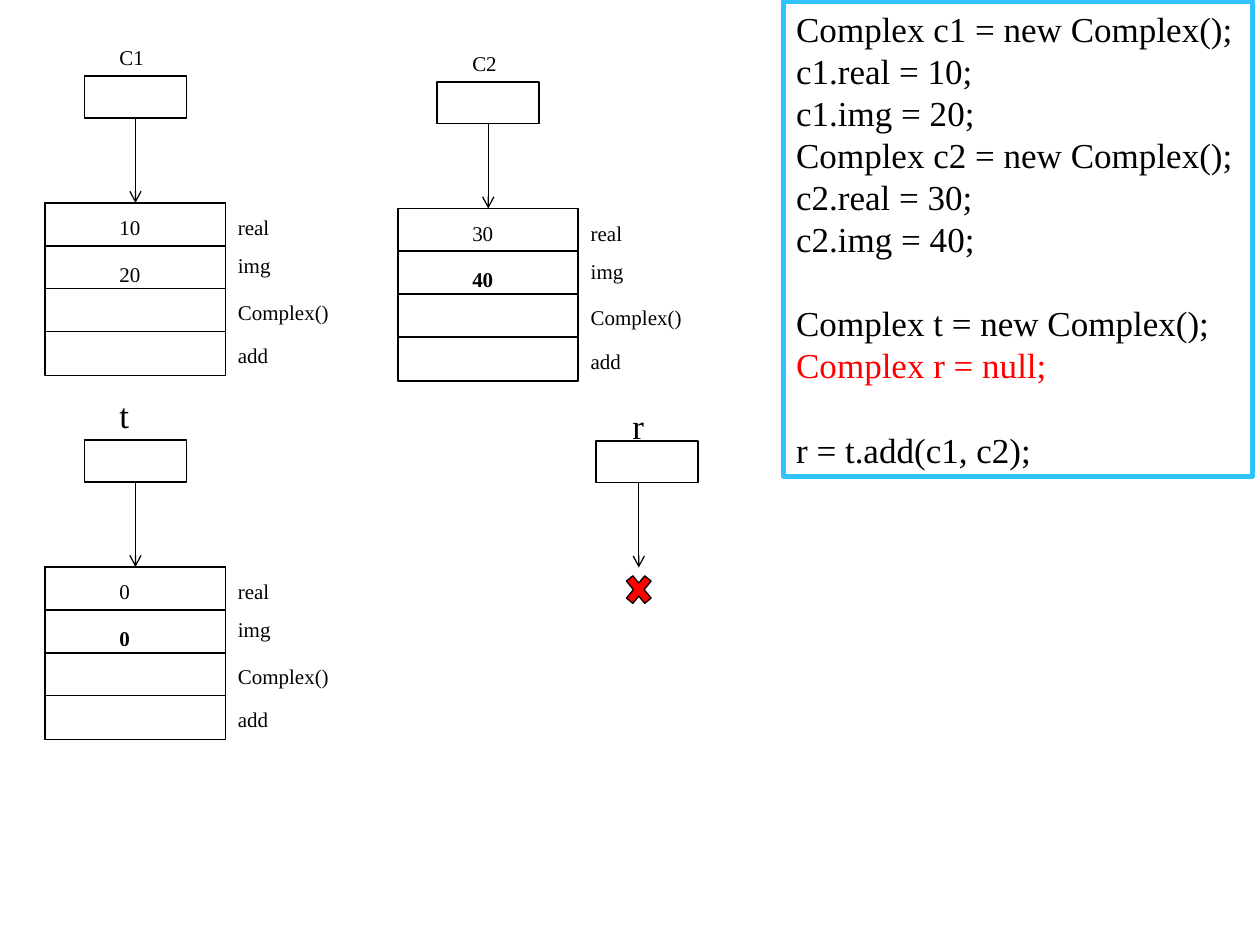
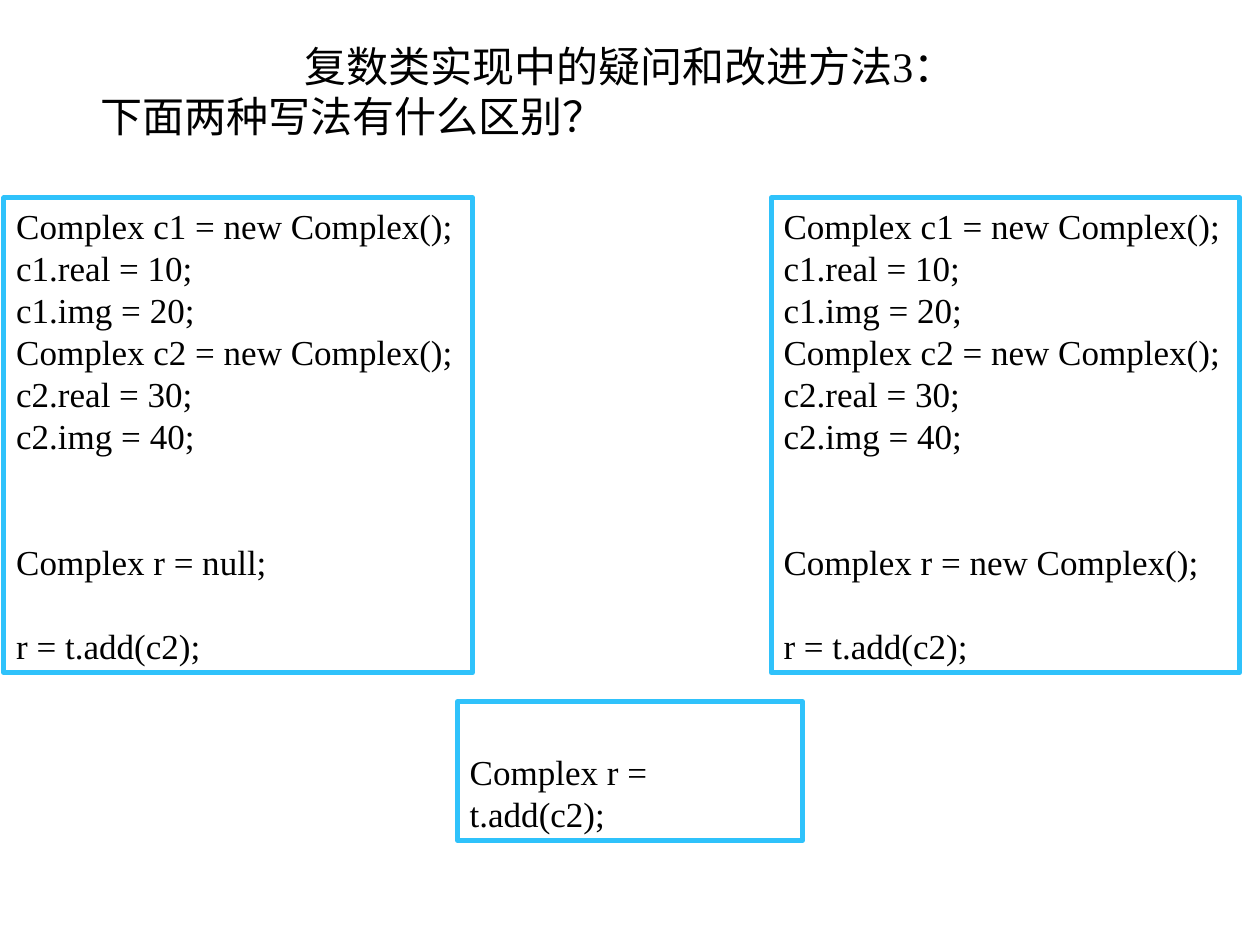
from dataclasses import dataclass

from lxml import etree
from pptx import Presentation
from pptx.dml.color import RGBColor
from pptx.enum.shapes import MSO_CONNECTOR, MSO_SHAPE
from pptx.enum.text import MSO_ANCHOR, PP_ALIGN
from pptx.oxml.ns import qn
from pptx.util import Inches, Pt

RECT, CROSS = MSO_SHAPE.RECTANGLE, MSO_SHAPE.MATH_MULTIPLY
STRAIGHT = MSO_CONNECTOR.STRAIGHT
TOP, BOTTOM = MSO_ANCHOR.TOP, MSO_ANCHOR.BOTTOM
LEFT, CENTER = PP_ALIGN.LEFT, PP_ALIGN.CENTER
TOP_SIDE, BOTTOM_SIDE = 0, 2

FONT = "Times New Roman"
BLACK, WHITE, RED, SKY = "000000", "FFFFFF", "FF0000", "2FC2FB"
SMALL, CODE, TITLE = 12, 20, 24
CODE_PITCH = 24  # points from one code line to the next

# The slide is a grid of 100 columns and 75 rows of equal square cells.
COLS, ROWS = 100, 75
UNIT = Inches(0.1)

# Sizes in grid cells
REF_W, REF_H = 8.1, 3.3
OBJECT_W, OBJECT_H = 14.3, 13.6
FIELD_H, FIELD_STEP = 3.5, 3.4
ARROW = 6.75
LABEL_W, LABEL_H, NAME_H = 11, 3, 4.3
VALUE_X = 4.9
CODE_W, CODE_H = 37.2, 37.7

FIELDS = ("real", "img", "Complex()", "add")
LABEL_DROPS = (0.45, 3.45, 7.15, 10.6)
VALUE_DROPS = (0.45, 4.15)

SETUP = ("Complex c1 = new Complex();", "c1.real = 10;", "c1.img = 20;",
         "Complex c2 = new Complex();", "c2.real = 30;", "c2.img = 40;")


@dataclass(frozen=True)
class Line:
    text: str
    gap: int = 0  # empty lines above
    color: str = BLACK
    size: int = CODE
    bold: bool = False
    align: PP_ALIGN = LEFT
    indent: float = 0
    pitch: int = 0


@dataclass(frozen=True)
class ComplexObject:
    name: str
    x: float
    y: float
    values: tuple[str, str]
    name_size: int = SMALL
    name_rise: float = 13.05
    bold_img: bool = True


@dataclass(frozen=True)
class CodeBox:
    x: float
    y: float
    lines: tuple[Line, ...]
    w: float = CODE_W
    h: float = CODE_H


OBJECTS = (
    ComplexObject("C1", 3.6, 16.1, ("10", "20"), bold_img=False),
    ComplexObject("C2", 31.6, 16.55, ("30", "40")),
    ComplexObject("t", 3.6, 45, ("0", "0"), CODE, 14.3),
)


def program(*tail: Line) -> tuple[Line, ...]:
    """The shared setup lines followed by the lines that differ."""
    return tuple(Line(text) for text in SETUP) + tail


MEMORY_CODE = CodeBox(62.2, 0.1, program(
    Line("Complex t = new Complex();", 1),
    Line("Complex r = null;", color=RED),
    Line("r = t.add(c1, c2);", 1)))

VARIANTS = tuple(
    CodeBox(x, 15.7, program(Line(f"Complex r = {start};", 2),
                             Line("r = t.add(c2);", 1)))
    for x, start in ((0.3, "null"), (61.2, "new Complex()")))

SHORT_FORM = CodeBox(36.3, 55.7, (Line("Complex r = t.add(c2);"),), 27.4, 11)

HEADING = (
    Line("复数类实现中的疑问和改进方法3：", size=TITLE, align=CENTER),
    Line("下面两种写法有什么区别？", size=TITLE, indent=2.3),
)


def grid(*cells: float) -> list[int]:
    return [round(n * UNIT) for n in cells]


def rgb(color: str) -> RGBColor:
    return RGBColor.from_string(color)


def write(shape, lines: tuple[Line, ...], anchor=TOP) -> None:
    tf = shape.text_frame
    tf.word_wrap = True
    tf.vertical_anchor = anchor
    for i, line in enumerate(lines):
        p = tf.paragraphs[0] if i == 0 else tf.add_paragraph()
        p.alignment = line.align
        if line.indent:
            p._p.get_or_add_pPr().set("indent", str(grid(line.indent)[0]))
        if line.size == CODE:
            p.line_spacing = Pt(CODE_PITCH)
        if line.gap:
            p.space_before = Pt(line.gap * CODE_PITCH)
        p.font.name, p.font.size = FONT, Pt(line.size)
        p.font.bold = line.bold
        p.font.color.rgb = rgb(line.color)
        p.add_run().text = line.text


def add_text(shapes, x: float, y: float, w: float, h: float, *lines: Line):
    write(shapes.add_textbox(*grid(x, y, w, h)), lines)


def add_box(shapes, x: float, y: float, w: float, h: float, kind=RECT,
            fill: str | None = WHITE, line: str = BLACK, width: float = 1):
    sp = shapes.add_shape(kind, *grid(x, y, w, h))
    sp.shadow.inherit = False
    if fill:
        sp.fill.solid()
        sp.fill.fore_color.rgb = rgb(fill)
    else:
        sp.fill.background()
    sp.line.color.rgb = rgb(line)
    sp.line.width = Pt(width)
    return sp


def add_arrow(shapes, x: float, y: float):
    """Draw an arrow straight down from a reference box."""
    cx = shapes.add_connector(STRAIGHT, *grid(x, y, x, y + ARROW))
    cx.line.color.rgb = rgb(BLACK)
    cx.line.width = Pt(0.75)
    etree.SubElement(cx.line._get_or_add_ln(), qn("a:tailEnd"), type="arrow")
    etree.SubElement(cx._element.spPr, qn("a:effectLst"))
    return cx


def add_object(s, obj: ComplexObject) -> None:
    """Draw a reference box, its arrow and the object it points to."""
    shapes = s.shapes.add_group_shape().shapes
    x, y = obj.x, obj.y
    ref_x = x + (OBJECT_W - REF_W) / 2
    ref_y = y - ARROW - REF_H
    ref = add_box(shapes, ref_x, ref_y, REF_W, REF_H)
    name_h = NAME_H if obj.name_size == CODE else LABEL_H
    add_text(shapes, x + VALUE_X, y - obj.name_rise, LABEL_W, name_h,
             Line(obj.name, size=obj.name_size))

    frame = add_box(shapes, x, y, OBJECT_W, OBJECT_H)
    for i, (field, drop) in enumerate(zip(FIELDS, LABEL_DROPS)):
        add_box(shapes, x, y + i * FIELD_STEP, OBJECT_W, FIELD_H)
        add_text(shapes, x + OBJECT_W, y + drop, LABEL_W, LABEL_H,
                 Line(field, size=SMALL))
    for i, (value, drop) in enumerate(zip(obj.values, VALUE_DROPS)):
        add_text(shapes, x + VALUE_X, y + drop, LABEL_W, LABEL_H,
                 Line(value, size=SMALL, bold=obj.bold_img and i == 1))

    arrow = add_arrow(shapes, x + OBJECT_W / 2, y - ARROW)
    arrow.begin_connect(ref, BOTTOM_SIDE)
    arrow.end_connect(frame, TOP_SIDE)


def add_null_reference(s, x: float, y: float) -> None:
    add_box(s.shapes, x, y, REF_W, REF_H)
    add_text(s.shapes, x + 1.9, y - 3.4, LABEL_W, NAME_H, Line("r"))
    add_arrow(s.shapes, x + 3.4, y + REF_H)
    add_box(s.shapes, x + 2, y + 10.1, 2.8, 3.4, CROSS, RED, width=0.75)


def add_code(s, code: CodeBox) -> None:
    sp = add_box(s.shapes, code.x, code.y, code.w, code.h,
                 fill=None, line=SKY, width=2.75)
    write(sp, code.lines, BOTTOM)


def build_memory_slide(s) -> None:
    for obj in OBJECTS:
        add_object(s, obj)
    add_null_reference(s, 47.3, 35)
    add_code(s, MEMORY_CODE)


def build_question_slide(s) -> None:
    add_text(s.shapes, 4.7, 2.7, 90.6, 13, *HEADING)
    for code in (*VARIANTS, SHORT_FORM):
        add_code(s, code)


def main() -> None:
    prs = Presentation()
    prs.slide_width, prs.slide_height = grid(COLS, ROWS)
    blank = prs.slide_layouts[6]
    for build in (build_memory_slide, build_question_slide):
        build(prs.slides.add_slide(blank))
    prs.save("out.pptx")


if __name__ == "__main__":
    main()
